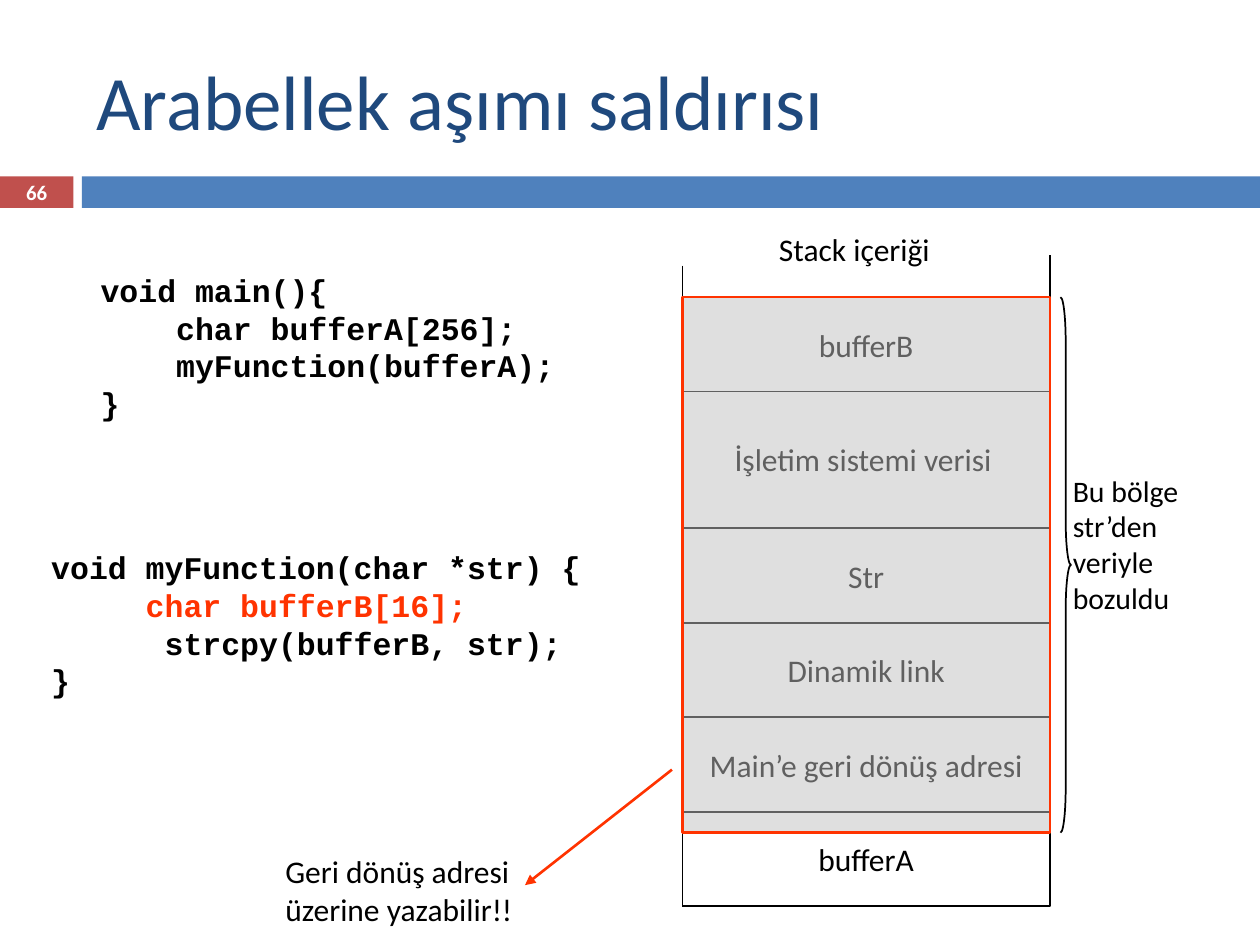
from lxml.etree import SubElement
from pptx import Presentation
from pptx.dml.color import RGBColor
from pptx.enum.shapes import MSO_CONNECTOR, MSO_SHAPE
from pptx.enum.text import MSO_ANCHOR, PP_ALIGN
from pptx.oxml.ns import qn
from pptx.util import Inches, Pt

# The grid has 120 columns and 90 rows of a twelfth of an inch
UNIT = Inches(1) / 12
COLORS = {
    "black": "000000", "white": "FFFFFF", "title": "1F497D",
    "bar": "4F81BD", "number": "C0504D", "alert": "FF3300", "veil": "C0C0C0",
}
MAIN_CODE = ["void main(){", "    char bufferA[256];", "    myFunction(bufferA);", "}"]
FUNCTION_CODE = ["void myFunction(char *str) {", "     char bufferB[16];",
                 "      strcpy(bufferB, str);", "}"]


def grid(*cells):
    return [round(cell * UNIT) for cell in cells]


def color(name):
    return RGBColor.from_string(COLORS[name])


def write(shape, lines, size=18, font="Calibri", ink="black", bold=False,
          align=PP_ALIGN.LEFT, anchor=MSO_ANCHOR.TOP, wrap=True, marked=()):
    frame = shape.text_frame
    frame.word_wrap = wrap
    frame.vertical_anchor = anchor
    frame.text = "\n".join(lines)
    for index, paragraph in enumerate(frame.paragraphs):
        paragraph.alignment = align
        paragraph.font.name = font
        paragraph.font.size = Pt(size)
        paragraph.font.bold = bold
        paragraph.font.color.rgb = color("alert" if index in marked else ink)


def add_text(slide, box, lines, **style):
    write(slide.shapes.add_textbox(*grid(*box)), lines, **style)


def add_block(slide, box, kind=MSO_SHAPE.RECTANGLE, fill=None, line=None, width=1):
    shape = slide.shapes.add_shape(kind, *grid(*box))
    shape.shadow.inherit = False
    if fill:
        shape.fill.solid()
        shape.fill.fore_color.rgb = color(fill)
    else:
        shape.fill.background()
    if line:
        shape.line.color.rgb = color(line)
        shape.line.width = Pt(width)
    else:
        shape.line.fill.background()
    return shape


def add_line(slide, start, end, ink="black", width=1, arrow=False):
    line = slide.shapes.add_connector(MSO_CONNECTOR.STRAIGHT, *grid(*start, *end))
    line.line.color.rgb = color(ink)
    line.line.width = Pt(width)
    if arrow:
        SubElement(line.line._get_or_add_ln(), qn("a:tailEnd"), type="triangle")
    SubElement(line._element.spPr, qn("a:effectLst"))


def add_header(slide, box):
    left, top, width, height = box
    bar_top, bar_height, number_width, gap = top + 16.8, 3, 7, 0.8
    number = add_block(slide, (left, bar_top, number_width, bar_height), fill="number")
    write(number, ["66"], size=11.9, ink="white", bold=True,
          align=PP_ALIGN.CENTER, anchor=MSO_ANCHOR.MIDDLE)
    bar_left = left + number_width + gap
    add_block(slide, (bar_left, bar_top, width - number_width - gap, bar_height), fill="bar")
    add_text(slide, (left + 8, top + 3, 107, 13), ["Arabellek aşımı saldırısı"],
             size=44, ink="title", anchor=MSO_ANCHOR.MIDDLE)


def add_code(slide, box, lines, marked=()):
    add_text(slide, box, lines, font="Courier New", bold=True, marked=marked)


def add_stack(slide, box):
    left, top, width, height = box
    right, bottom, cell = left + width, top + height, 9

    # Cells: one on top, then a gap for the system data, then four stacked
    labels = ["bufferB", "Str", "Dinamik link", "Main’e geri dönüş adresi", "bufferA"]
    tops = [top] + [bottom - cell * count for count in (4, 3, 2, 1)]
    for label, cell_top in zip(labels, tops):
        shape = add_block(slide, (left, cell_top, width, cell), line="black")
        write(shape, [label], align=PP_ALIGN.CENTER, anchor=MSO_ANCHOR.MIDDLE, wrap=False)
    add_text(slide, (left + 2, top + 13, 30.4, 4.8), ["İşletim sistemi verisi"],
             align=PP_ALIGN.CENTER)

    # Open-topped outline and heading
    add_line(slide, (left, bottom), (right, bottom))
    add_line(slide, (left, top - 3), (left, bottom))
    add_line(slide, (right, top - 4), (right, bottom))
    add_text(slide, (left + 8, top - 7, 26, 4.8), ["Stack içeriği"])

    # Overwritten area
    area_height = 51
    veil = add_block(slide, (left, top, width, area_height),
                     fill="veil", line="alert", width=1.5)
    veil_color = veil.fill._xPr.find(qn("a:solidFill"))[0]
    SubElement(veil_color, qn("a:alpha"), val="50000")
    brace = add_block(slide, (right + 1, top, 1, area_height),
                      kind=MSO_SHAPE.RIGHT_BRACE, line="black")
    brace.adjustments[0] = 4.25
    brace.adjustments[1] = 0.5
    add_text(slide, (right + 1, top + 16.1, 19, 15),
             ["Bu bölge", "str’den", "veriyle bozuldu"], size=17)


def add_return_note(slide, box):
    left, top, width, height = box
    add_text(slide, box, ["Geri dönüş adresi", "üzerine yazabilir!!"])
    add_line(slide, (left + 38, top - 7.3), (left + 24, top + 3.7),
             ink="alert", width=1.5, arrow=True)


def main():
    presentation = Presentation()
    presentation.slide_width, presentation.slide_height = grid(120, 90)
    slide = presentation.slides.add_slide(presentation.slide_layouts[6])
    add_header(slide, (0, 0, 120, 20))
    add_stack(slide, (65, 28.3, 35, 58))
    add_return_note(slide, (26, 80.6, 26, 8.5))
    add_code(slide, (8.4, 25.2, 48.7, 15.7), MAIN_CODE)
    add_code(slide, (3.7, 51.6, 55.3, 19.4), FUNCTION_CODE, marked=[1])
    presentation.save("out.pptx")


if __name__ == "__main__":
    main()
